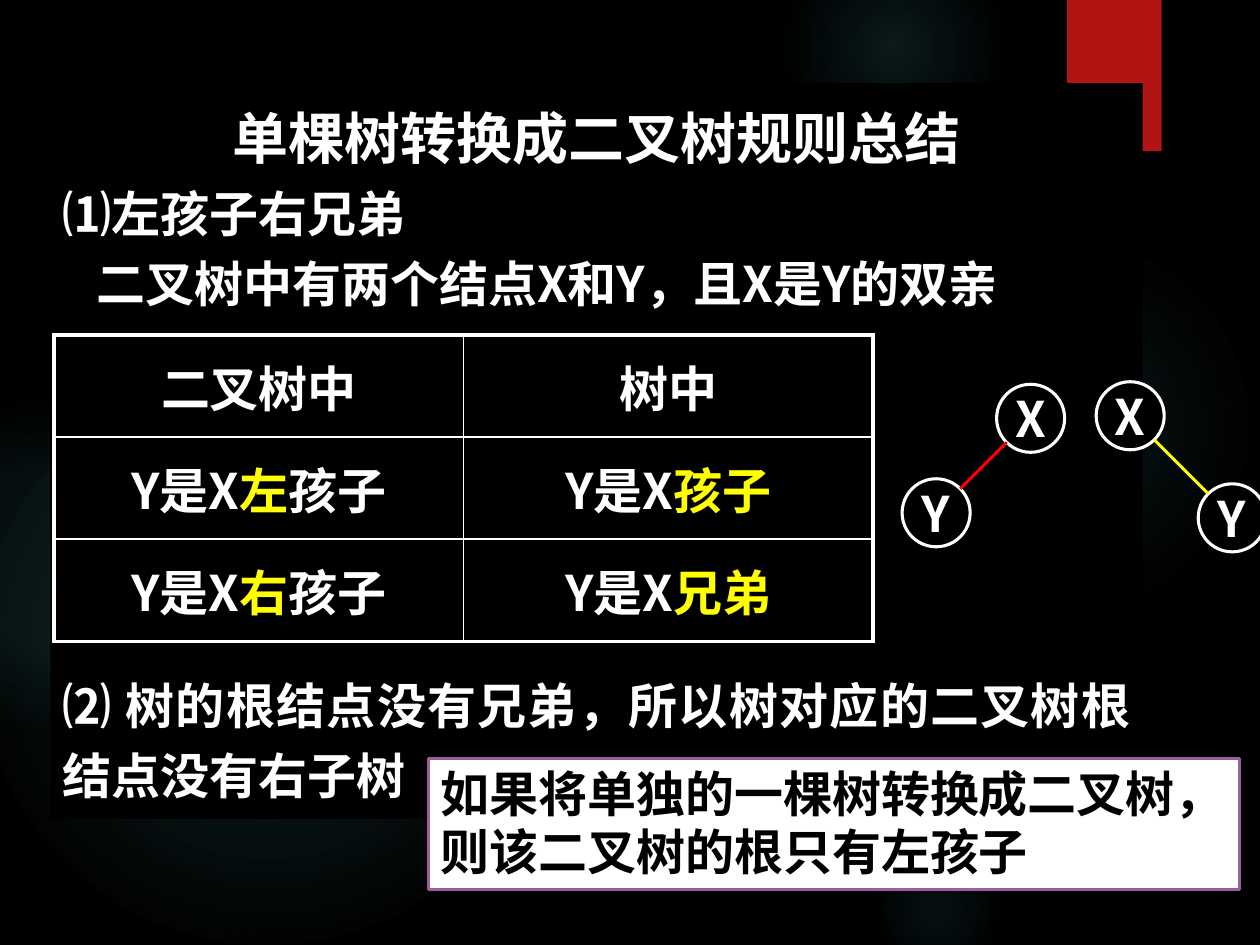
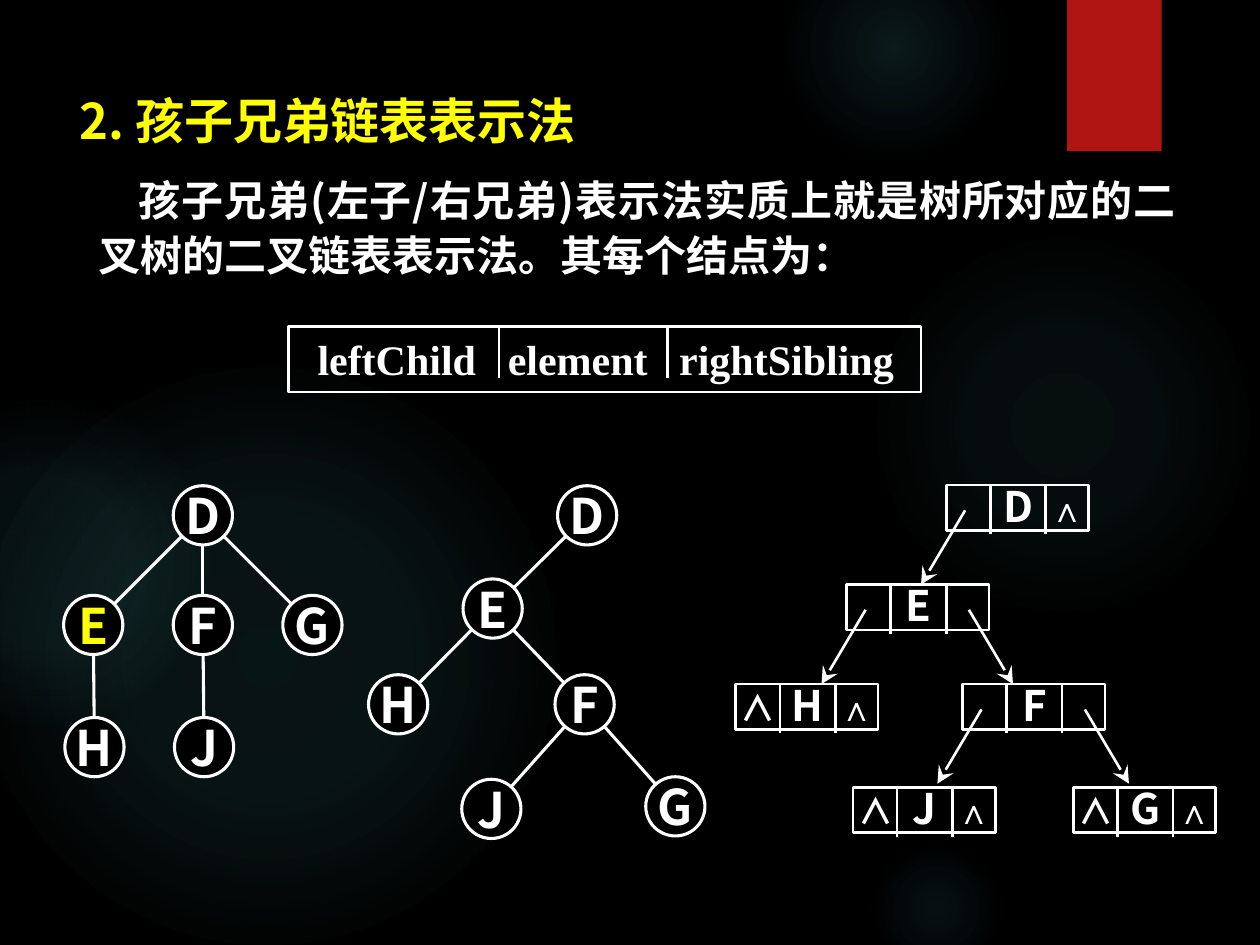
"""Builds two slides on turning trees into binary trees and on child-sibling lists."""
from math import hypot

from pptx import Presentation
from pptx.dml.color import RGBColor
from pptx.enum.shapes import MSO_CONNECTOR, MSO_SHAPE
from pptx.enum.text import MSO_ANCHOR, MSO_AUTO_SIZE, PP_ALIGN
from pptx.oxml import parse_xml
from pptx.oxml.ns import nsdecls, qn
from pptx.oxml.xmlchemy import OxmlElement
from pptx.util import Inches, Pt

BLACK = RGBColor(0x00, 0x00, 0x00)
WHITE = RGBColor(0xFF, 0xFF, 0xFF)
YELLOW = RGBColor(0xFF, 0xFF, 0x00)
RED = RGBColor(0xFF, 0x00, 0x00)
BAND = RGBColor(0xB0, 0x15, 0x13)
PURPLE = RGBColor(0x9E, 0x5E, 0x9B)
GLOW = RGBColor(0x50, 0xB9, 0xC1)
SANS, SERIF, ARIAL = "Noto Sans CJK SC", "Times New Roman", "Arial"

GLOWS = [
    (6.89, 1.83, 3.08, [(0, 7), (36, 6), (69, 0)]),
    (6.22, -0.5, 1.75, [(0, 14), (36, 7), (73, 0)]),
    (6.89, 6.67, 1.08, [(0, 9), (36, 5), (66, 0)]),
    (-0.17, 2.92, 4.58, [(0, 11), (36, 10), (75, 0)]),
    (-0.92, 3.17, 2.58, [(0, 8), (36, 8), (72, 0)]),
]


class Deck:
    """Holds the presentation, its style and the current slide."""

    def __init__(self):
        """Start a 4:3 presentation."""
        self.prs = Presentation()
        self.prs.slide_width, self.prs.slide_height = Inches(10), Inches(7.5)
        self.s = None

    def slide(self):
        """Add a title-only slide and make it current."""
        self.s = self.prs.slides.add_slide(self.prs.slide_layouts[5])

    def backdrop(self):
        """Move the glows and the red band to the master."""
        master = self.prs.slide_master
        master.background.fill.solid()
        master.background.fill.fore_color.rgb = BLACK
        shapes = [self.glow(*glow) for glow in GLOWS]
        shapes.append(self.shape(MSO_SHAPE.RECTANGLE, 8.47, 0, 0.75, 1.2, BAND))
        for sp in shapes:
            master.shapes._spTree.append(sp._element)

    def glow(self, x, y, size, stops):
        """Draw a circle that fades out from its centre."""
        sp = self.shape(MSO_SHAPE.OVAL, x, y, size, size)
        marks = "".join(
            f'<a:gs pos="{pos * 1000}"><a:srgbClr val="{GLOW}">'
            f'<a:alpha val="{alpha * 1000}"/></a:srgbClr></a:gs>'
            for pos, alpha in stops)
        grad = parse_xml(
            f'<a:gradFill {nsdecls("a")} rotWithShape="1"><a:gsLst>{marks}</a:gsLst>'
            '<a:path path="circle"><a:fillToRect l="50000" t="50000" r="50000" b="50000"/>'
            '</a:path></a:gradFill>')
        props = sp._element.spPr
        props.replace(props.find(qn("a:noFill")), grad)
        return sp

    def shape(self, kind, x, y, w, h, fill=None, line=None, weight=1.5):
        """Draw a preset shape without shadow."""
        sp = self.s.shapes.add_shape(kind, Inches(x), Inches(y), Inches(w), Inches(h))
        sp.shadow.inherit = False
        if fill is None:
            sp.fill.background()
        else:
            sp.fill.solid()
            sp.fill.fore_color.rgb = fill
        if line is None:
            sp.line.fill.background()
        else:
            sp.line.color.rgb = line
            sp.line.width = Pt(weight)
        return sp

    def frame(self, tf, anchor=MSO_ANCHOR.TOP, wrap=True, margins=(0.1, 0.05, 0.1, 0.05)):
        """Set the layout of a text frame."""
        tf.auto_size = MSO_AUTO_SIZE.NONE
        tf.word_wrap = wrap
        tf.vertical_anchor = anchor
        left, top, right, bottom = map(Inches, margins)
        tf.margin_left, tf.margin_top = left, top
        tf.margin_right, tf.margin_bottom = right, bottom

    def run(self, p, text, size=28, color=WHITE, font=SANS):
        """Add one bold run to a paragraph."""
        r = p.add_run()
        r.text = text
        r.font.size, r.font.bold = Pt(size), True
        r.font.color.rgb = color
        r.font.name = font
        ea = OxmlElement("a:ea")
        ea.set("typeface", font)
        r._r.get_or_add_rPr().append(ea)

    def para(self, tf, runs, align=PP_ALIGN.LEFT, pitch=None, before=0, indent=0,
             tabs=(), tab_align="l"):
        """Fill the empty first paragraph or add another one."""
        p = tf.paragraphs[0]
        if p.runs:
            p = tf.add_paragraph()
        p.alignment = align
        if pitch:
            p.line_spacing = Pt(pitch)
        if before:
            p.space_before = Pt(before)
        props = p._p.get_or_add_pPr()
        if indent:
            props.set("indent", str(Inches(indent)))
        if tabs:
            stops = OxmlElement("a:tabLst")
            for pos in tabs:
                tab = OxmlElement("a:tab")
                tab.set("pos", str(Inches(pos)))
                tab.set("algn", tab_align)
                stops.append(tab)
            props.append(stops)
        for text, *style in runs:
            self.run(p, text, *style)

    def title(self, text, x, y, w, h, size, color, align):
        """Place the title in front of what is drawn so far."""
        sp = self.s.shapes.title
        sp.left, sp.top, sp.width, sp.height = map(Inches, (x, y, w, h))
        self.s.shapes._spTree.append(sp._element)
        self.frame(sp.text_frame, MSO_ANCHOR.MIDDLE)
        self.para(sp.text_frame, [(text, size, color)], align)

    def textbox(self, x, y, w, h):
        """Add a wrapping text box and return its frame."""
        tf = self.s.shapes.add_textbox(Inches(x), Inches(y), Inches(w), Inches(h)).text_frame
        self.frame(tf)
        return tf

    def line(self, x1, y1, x2, y2, color=WHITE, weight=1.5, arrow=False):
        """Draw a straight line, with an arrowhead at its end if wanted."""
        cx = self.s.shapes.add_connector(
            MSO_CONNECTOR.STRAIGHT, Inches(x1), Inches(y1), Inches(x2), Inches(y2))
        cx.line.color.rgb = color
        cx.line.width = Pt(weight)
        if arrow:
            tail = OxmlElement("a:tailEnd")
            for key, value in (("type", "stealth"), ("w", "lg"), ("len", "lg")):
                tail.set(key, value)
            cx.line._get_or_add_ln().append(tail)
        cx._element.spPr.append(OxmlElement("a:effectLst"))

    def tree(self, nodes, edges, size, edge_color=WHITE, marked=""):
        """Draw round nodes at their centres and edges from rim to rim."""
        for name, (x, y) in nodes.items():
            sp = self.shape(MSO_SHAPE.OVAL, x - size / 2, y - size / 2, size, size,
                            BLACK, WHITE, 1.75)
            self.frame(sp.text_frame, MSO_ANCHOR.MIDDLE, False)
            color = YELLOW if name == marked else WHITE
            self.para(sp.text_frame, [(name, 28, color)], PP_ALIGN.CENTER)
        for parent, child in edges:
            (x1, y1), (x2, y2) = nodes[parent], nodes[child]
            k = size / 2 / hypot(x2 - x1, y2 - y1)
            dx, dy = k * (x2 - x1), k * (y2 - y1)
            self.line(x1 + dx, y1 + dy, x2 - dx, y2 - dy, edge_color, 1.75)

    def record(self, name, x, y, left, right):
        """Draw a three-field list node with arrows or centred null marks."""
        sp = self.shape(MSO_SHAPE.RECTANGLE, x, y, 1.13, 0.36, None, WHITE)
        self.frame(sp.text_frame, margins=(0, 0, 0, 0))
        runs = [("\t" if left else "\t∧", 20), ("\t" + name, 24)]
        if not right:
            runs.append(("\t∧", 20, WHITE, ARIAL))
        self.para(sp.text_frame, runs, pitch=26, tabs=(0.18, 0.57, 0.96), tab_align="ctr")
        for offset in (0.35, 0.79):
            self.line(x + offset, y, x + offset, y + 0.39)
        for linked, start, dx in ((left, 0.15, -0.35), (right, 0.97, 0.35)):
            if linked:
                self.line(x + start, y + 0.2, x + start + dx, y + 0.79, arrow=True)

    def table(self, rows, x, y, col_w, row_h):
        """Add a black table with a heavy outer border."""
        n, m = len(rows), len(rows[0])
        tbl = self.s.shapes.add_table(
            n, m, Inches(x), Inches(y), Inches(col_w * m), Inches(row_h * n)).table
        for i, row in enumerate(rows):
            for j, runs in enumerate(row):
                cell = tbl.cell(i, j)
                cell.vertical_anchor = MSO_ANCHOR.MIDDLE
                self.para(cell.text_frame, runs, PP_ALIGN.CENTER)
                props = cell._tc.get_or_add_tcPr()
                outer = {"L": j == 0, "R": j == m - 1, "T": i == 0, "B": i == n - 1}
                for side, heavy in outer.items():
                    props.append(parse_xml(
                        f'<a:ln{side} {nsdecls("a")} w="{Pt(2.25 if heavy else 1)}">'
                        f'<a:solidFill><a:srgbClr val="{WHITE}"/></a:solidFill></a:ln{side}>'))
                cell.fill.solid()
                cell.fill.fore_color.rgb = BLACK


def rules_slide(deck):
    """Summarise the rules for turning one tree into a binary tree."""
    panel = deck.shape(MSO_SHAPE.RECTANGLE, 0.4, 0.66, 8.67, 5.84, BLACK)
    tf = panel.text_frame
    deck.frame(tf, margins=(0.1, 0.71, 0.1, 0.05))
    deck.para(tf, [("⑴左孩子右兄弟",)], pitch=40)
    deck.para(tf, [("二叉树中有两个结点X和Y，且X是Y的双亲",)], pitch=40, indent=0.27)
    deck.para(tf, [("⑵ 树的根结点没有兄弟，所以树对应的二叉树根结点没有右子树",)],
              PP_ALIGN.JUSTIFY, 40, before=201)
    deck.title("单棵树转换成二叉树规则总结", 0.4, 0.77, 8.67, 0.64, 32, WHITE, PP_ALIGN.CENTER)

    relation = ("Y是X",)
    deck.table([
        [[("二叉树中",)], [("树中",)]],
        [[relation, ("左", 28, YELLOW), ("孩子",)], [relation, ("孩子", 28, YELLOW)]],
        [[relation, ("右", 28, YELLOW), ("孩子",)], [relation, ("兄弟", 28, YELLOW)]],
    ], 0.43, 2.66, 3.25, 0.81)

    deck.tree({"X": (8.97, 3.3), "Y": (9.78, 4.11)}, ["XY"], 0.54, YELLOW)
    deck.tree({"X": (8.18, 3.32), "Y": (7.43, 4.07)}, ["XY"], 0.54, RED)

    note = deck.shape(MSO_SHAPE.RECTANGLE, 3.4, 6.02, 6.44, 1.04, WHITE, PURPLE)
    deck.frame(note.text_frame)
    for text in ("如果将单独的一棵树转换成二叉树，", "则该二叉树的根只有左孩子"):
        deck.para(note.text_frame, [(text, 28, BLACK)], pitch=33)


def linked_list_slide(deck):
    """Show a tree, its binary tree and its child-sibling list."""
    deck.title("2. 孩子兄弟链表表示法", 0.53, 0.67, 4.96, 0.57, 28, YELLOW, PP_ALIGN.LEFT)
    tf = deck.textbox(0.68, 1.3, 8.75, 0.99)
    deck.para(tf, [("孩子兄弟(左子/右兄弟)表示法实质上就是树所对应的"
                    "二叉树的二叉链表表示法。其每个结点为：", 24)],
              PP_ALIGN.JUSTIFY, 31.4, indent=0.32)

    fields = deck.shape(MSO_SHAPE.RECTANGLE, 2.29, 2.59, 5.02, 0.52, None, WHITE)
    deck.frame(fields.text_frame, MSO_ANCHOR.MIDDLE, margins=(0.23, 0.05, 0, 0.05))
    deck.para(fields.text_frame, [("leftChild\telement\trightSibling", 24, WHITE, SERIF)],
              tabs=(1.51, 2.87))
    for x in (3.96, 5.3):
        deck.line(x, 2.59, x, 3)

    deck.tree({"D": (1.61, 4.09), "E": (0.74, 4.96), "F": (1.61, 4.96), "G": (2.48, 4.96),
               "H": (0.75, 5.93), "J": (1.62, 5.93)},
              ["DE", "DF", "DG", "EH", "FJ"], 0.47, marked="E")
    deck.tree({"D": (4.66, 4.09), "E": (3.91, 4.83), "F": (4.64, 5.59), "G": (5.36, 6.4),
               "H": (3.16, 5.59), "J": (3.9, 6.42)},
              ["DE", "EF", "FG", "EH", "FJ"], 0.47)

    for name, x, y, left, right in [
            ("D", 7.51, 3.85, True, False), ("E", 6.72, 4.64, True, True),
            ("H", 5.84, 5.43, False, False), ("F", 7.64, 5.43, True, True),
            ("J", 6.77, 6.25, False, False), ("G", 8.52, 6.25, False, False)]:
        deck.record(name, x, y, left, right)


def main():
    """Build and save the deck."""
    deck = Deck()
    deck.slide()
    deck.backdrop()
    rules_slide(deck)
    deck.slide()
    linked_list_slide(deck)
    deck.prs.save("out.pptx")


if __name__ == "__main__":
    main()
